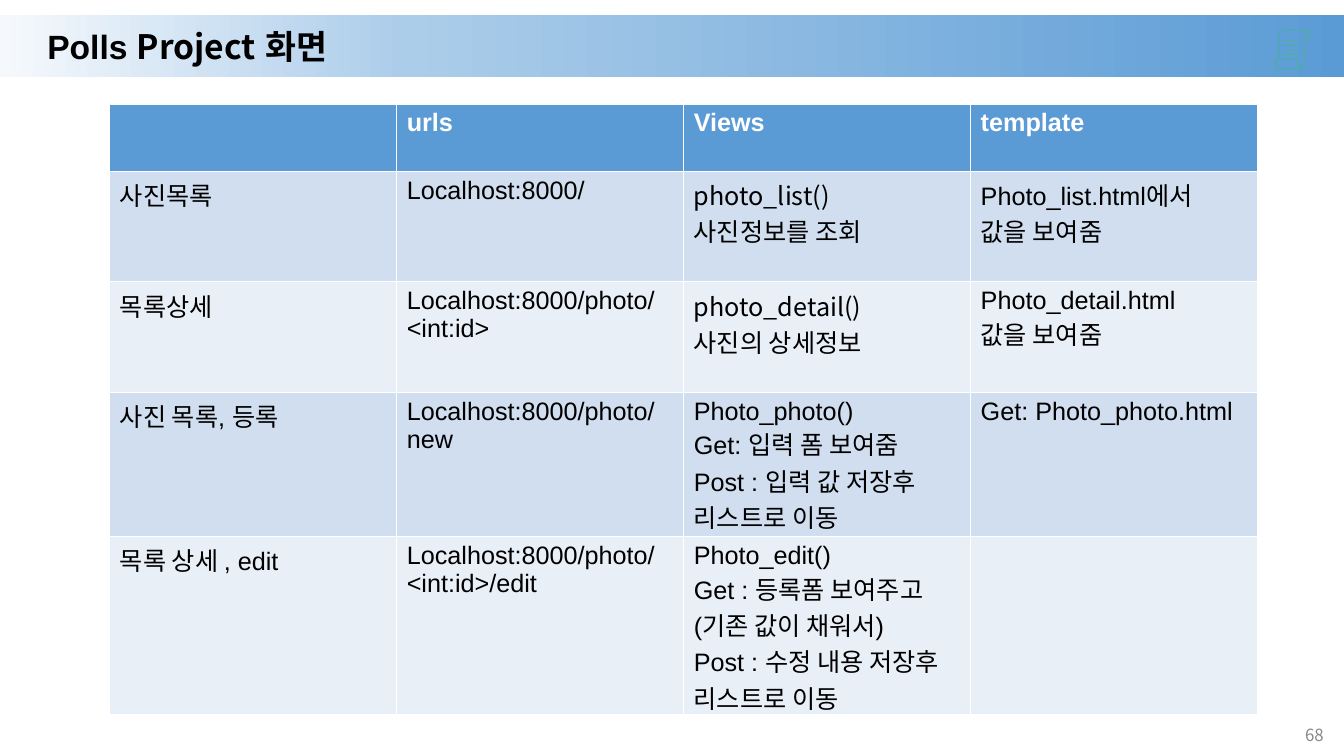
from copy import deepcopy
from lxml.etree import SubElement
from pptx import Presentation
from pptx.dml.color import RGBColor
from pptx.enum.shapes import MSO_CONNECTOR, MSO_SHAPE
from pptx.enum.text import MSO_ANCHOR as Anchor, PP_ALIGN as Align
from pptx.oxml.ns import qn
from pptx.util import Pt

LATIN, KOREAN = "Arial", "Noto Sans CJK KR"
BLUE, GREEN, BLACK, WHITE, GREY = "5B9BD5", "4BB0A0", "000000", "FFFFFF", "888888"
ROW_FILLS = ["D0DEEF", "E9EFF7"]
BAND_STOPS = [(0, "F6F9FC"), (0.3, "ACCDEA"), (1, BLUE)]

TITLE_RUNS = [("Polls ", LATIN), ("Project", KOREAN), (" 화면", LATIN)]
PAGE = "68"

# One line of text is one paragraph; \v breaks a line inside a paragraph.
HEADER = ["", "urls", "Views", "template"]
ROUTES = [
    ["사진목록", "Localhost:8000/", "photo_list()\n사진정보를 조회",
     "Photo_list.html에서\n값을 보여줌"],
    ["목록상세", "Localhost:8000/photo/<int:id>", "photo_detail()\n사진의 상세정보",
     "Photo_detail.html\v값을 보여줌"],
    ["사진 목록, 등록", "Localhost:8000/photo/new",
     "Photo_photo()\nGet: 입력 폼 보여줌\nPost : 입력 값 저장후 리스트로 이동",
     "Get: Photo_photo.html"],
    ["목록 상세 , edit", "Localhost:8000/photo/<int:id>/edit",
     "Photo_edit()\nGet : 등록폼 보여주고(기존 값이 채워서)\nPost : 수정 내용 저장후 리스트로 이동",
     ""],
]
COLUMN_WIDTH = 205
ROW_HEIGHTS = [48, 79, 79, 103, 127]

# Scroll icon: outlines in points from its top left corner, then its text lines
SCROLL_LEFT, SCROLL_TOP = 911, 21
SCROLL_OUTLINES = [
    [(5, 1), (3.4, 1.4), (2.5, 3), (2.5, 21), (0.4, 21), (0.4, 26), (1.2, 27.6),
     (3, 28.2), (18, 28.2), (19.7, 27.6), (20.5, 26), (20.5, 12.5)],
    [(0.4, 21), (15.7, 21), (15.7, 26), (16.3, 27.6), (18, 28.2)],
    [(5.8, 0.4), (22.5, 0.4), (24, 1.2), (24.7, 3), (24.7, 6.6), (20.5, 6.6)],
    [(20.5, 10.8), (20.5, 3), (21, 1.2), (22.5, 0.4)],
]
TEXT_LINES, LINE_LEFT, LINE_TOP, LINE_LENGTH, LINE_GAP = 4, 5.8, 8.2, 10.8, 3.35


def rgb(value):
    return RGBColor.from_string(value)


def style(font, size, color, latin=LATIN, bold=False):
    font.size, font.bold, font.name = Pt(size), bold, latin
    font.color.rgb = rgb(color)
    SubElement(font._element, qn("a:ea"), typeface=KOREAN)


def draw_band(shapes):
    band = shapes.add_shape(MSO_SHAPE.RECTANGLE, 0, Pt(11), Pt(960), Pt(44))
    band.shadow.inherit = False
    band.line.fill.background()
    band.fill.gradient()
    band.fill.gradient_angle = 0
    first_stop = next(band.element.iter(qn("a:gs")))
    first_stop.addnext(deepcopy(first_stop))
    for stop, (position, color) in zip(band.fill.gradient_stops, BAND_STOPS):
        stop.position = position
        stop.color.rgb = rgb(color)


def draw_scroll(shapes):
    strokes = []
    for outline in SCROLL_OUTLINES:
        tenths = [(round((SCROLL_LEFT + x) * 10), round((SCROLL_TOP + y) * 10))
                  for x, y in outline]
        builder = shapes.build_freeform(*tenths[0], scale=Pt(0.1))
        builder.add_line_segments(tenths[1:], close=False)
        curl = builder.convert_to_shape()
        curl.shadow.inherit = False
        curl.fill.background()
        strokes.append(curl)
    for i in range(TEXT_LINES):
        x, y = SCROLL_LEFT + LINE_LEFT, SCROLL_TOP + LINE_TOP + i * LINE_GAP
        rule = shapes.add_connector(
            MSO_CONNECTOR.STRAIGHT, Pt(x), Pt(y), Pt(x + LINE_LENGTH), Pt(y))
        SubElement(rule.element.spPr, qn("a:effectLst"))
        strokes.append(rule)
    for stroke in strokes:
        stroke.line.color.rgb = rgb(GREEN)
        stroke.line.width = Pt(0.75)
    # The effect list has to follow the line properties
    for stroke in strokes:
        properties = stroke.element.spPr
        properties.append(properties.find(qn("a:effectLst")))


def write_title(shapes):
    title = shapes.title
    title.left, title.top, title.width, title.height = Pt(26.6), Pt(19.4), Pt(882), Pt(31)
    shapes.element.append(title.element)  # in front of the band
    title.text_frame.vertical_anchor = Anchor.MIDDLE
    heading = title.text_frame.paragraphs[0]
    heading.alignment = Align.LEFT
    heading.line_spacing = 0.9
    for text, latin in TITLE_RUNS:
        run = heading.add_run()
        run.text = text
        style(run.font, 24, BLACK, latin, bold=True)


def write_page_number(shapes):
    frame = shapes.add_textbox(Pt(921), Pt(510.5), Pt(31.7), Pt(28.8)).text_frame
    frame.word_wrap = True
    frame.vertical_anchor = Anchor.MIDDLE
    number = frame.paragraphs[0]
    number.text = PAGE
    number.alignment = Align.RIGHT
    style(number.font, 12, GREY, KOREAN)


def fill_table(shapes):
    rows = [HEADER] + ROUTES
    table = shapes.add_table(len(rows), len(HEADER), Pt(78.4), Pt(74.3),
                             Pt(COLUMN_WIDTH * len(HEADER)), Pt(sum(ROW_HEIGHTS))).table
    for column in table.columns:
        column.width = Pt(COLUMN_WIDTH)
    for r, (texts, height) in enumerate(zip(rows, ROW_HEIGHTS)):
        table.rows[r].height = Pt(height)
        is_header = r == 0
        for c, text in enumerate(texts):
            cell = table.cell(r, c)
            cell.fill.solid()
            cell.fill.fore_color.rgb = rgb(BLUE if is_header else ROW_FILLS[(r - 1) % 2])
            cell.text = text
            for line in cell.text_frame.paragraphs:
                latin = KOREAN if line.text.startswith("photo_") else LATIN
                style(line.font, 18, WHITE if is_header else BLACK, latin, is_header)


def main():
    deck = Presentation()
    deck.slide_width, deck.slide_height = Pt(960), Pt(540)
    shapes = deck.slides.add_slide(deck.slide_layouts[5]).shapes
    draw_band(shapes)
    draw_scroll(shapes)
    write_title(shapes)
    write_page_number(shapes)
    fill_table(shapes)
    deck.save("out.pptx")


if __name__ == "__main__":
    main()
